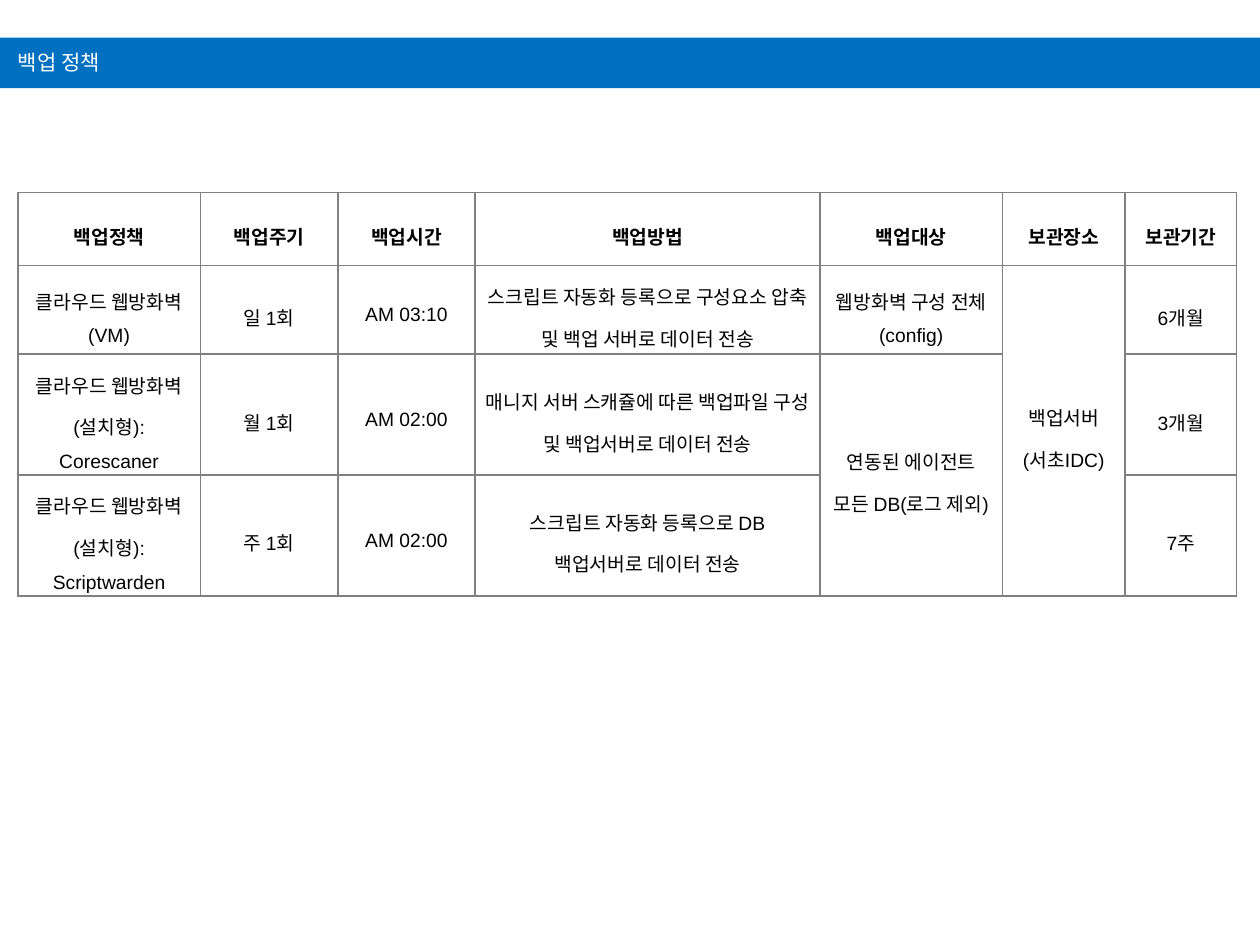
from lxml.etree import SubElement
from pptx import Presentation
from pptx.dml.color import RGBColor
from pptx.enum.shapes import MSO_SHAPE
from pptx.enum.text import MSO_ANCHOR, PP_ALIGN
from pptx.oxml.ns import qn
from pptx.util import Cm, Pt

BLUE = RGBColor(0x00, 0x70, 0xC0)
WHITE = RGBColor(0xFF, 0xFF, 0xFF)
BLACK = RGBColor(0x00, 0x00, 0x00)
GRAY = RGBColor(0x80, 0x80, 0x80)
KOREAN = "Noto Sans CJK KR"
LATIN = "Arial"

TITLE = "백업 정책"
ROWS = [
    ["백업정책", "백업주기", "백업시간", "백업방법", "백업대상", "보관장소", "보관기간"],
    ["클라우드 웹방화벽(VM)", "일 1회", "AM 03:10",
     "스크립트 자동화 등록으로 구성요소 압축 및 백업 서버로 데이터 전송",
     "웹방화벽 구성 전체(config)", "백업서버\n(서초IDC)", "6개월"],
    ["클라우드 웹방화벽(설치형): Corescaner", "월 1회", "AM 02:00",
     "매니지 서버 스캐쥴에 따른 백업파일 구성 및 백업서버로 데이터 전송",
     "연동된 에이전트 모든 DB(로그 제외)", "", "3개월"],
    ["클라우드 웹방화벽(설치형): Scriptwarden", "주 1회", "AM 02:00",
     "스크립트 자동화 등록으로 DB 백업서버로 데이터 전송", "", "", "7주"],
]
MERGES = [((1, 5), (3, 5)), ((2, 4), (3, 4))]
COL_WIDTHS = [3.68, 2.77, 2.77, 6.95, 3.68, 2.47, 2.25]
ROW_HEIGHTS = [1.47, 1.5, 2.24, 2.24]


def write(tf, text, size, font, color, bold=False, align=PP_ALIGN.LEFT, spacing=1.0):
    tf.text = text
    for p in tf.paragraphs:
        p.alignment = align
        p.line_spacing = spacing
        p.space_before = Pt(0)
        for r in p.runs:
            r.font.size = Pt(size)
            r.font.name = font
            r.font.bold = bold
            r.font.color.rgb = color
            SubElement(r.font._element, qn("a:ea"), typeface=KOREAN)


def add_borders(cell):
    tcPr = cell._tc.get_or_add_tcPr()
    for i, side in enumerate(("lnL", "lnR", "lnT", "lnB")):
        ln = SubElement(tcPr, qn(f"a:{side}"), w=str(Pt(1)))
        fill = SubElement(ln, qn("a:solidFill"))
        SubElement(fill, qn("a:srgbClr"), val=str(GRAY))
        tcPr.insert(i, ln)


prs = Presentation()
prs.slide_width, prs.slide_height = Cm(25.4), Cm(19.05)
s = prs.slides.add_slide(prs.slide_layouts[5])

bar = s.shapes.add_shape(MSO_SHAPE.RECTANGLE, 0, Cm(0.76), prs.slide_width, Cm(1.02))
bar.shadow.inherit = False
bar.fill.solid()
bar.fill.fore_color.rgb = BLUE
bar.line.fill.background()
s.shapes._spTree.insert(2, bar._element)

title = s.shapes.title
title.left, title.top, title.width, title.height = Cm(0.36), Cm(0.9), Cm(24.66), Cm(0.69)
tf = title.text_frame
tf.margin_left = tf.margin_right = tf.margin_top = tf.margin_bottom = 0
tf.vertical_anchor = MSO_ANCHOR.MIDDLE
write(tf, TITLE, 12, KOREAN, WHITE)

table = s.shapes.add_table(len(ROWS), len(COL_WIDTHS), Cm(0.36), Cm(3.88),
                           Cm(sum(COL_WIDTHS)), Cm(sum(ROW_HEIGHTS))).table
table.first_row = table.horz_banding = False
for col, width in zip(table.columns, COL_WIDTHS):
    col.width = Cm(width)
for row, height in zip(table.rows, ROW_HEIGHTS):
    row.height = Cm(height)
for start, end in MERGES:
    table.cell(*start).merge(table.cell(*end))

for i, texts in enumerate(ROWS):
    for j, text in enumerate(texts):
        cell = table.cell(i, j)
        cell.fill.background()
        add_borders(cell)
        cell.vertical_anchor = MSO_ANCHOR.MIDDLE
        cell.margin_left = cell.margin_right = Cm(0.18)
        cell.margin_top = cell.margin_bottom = Cm(0.05)
        if text:
            write(cell.text_frame, text, 11, LATIN, BLACK, bold=i == 0,
                  align=PP_ALIGN.CENTER, spacing=1.5)

prs.save("out.pptx")
